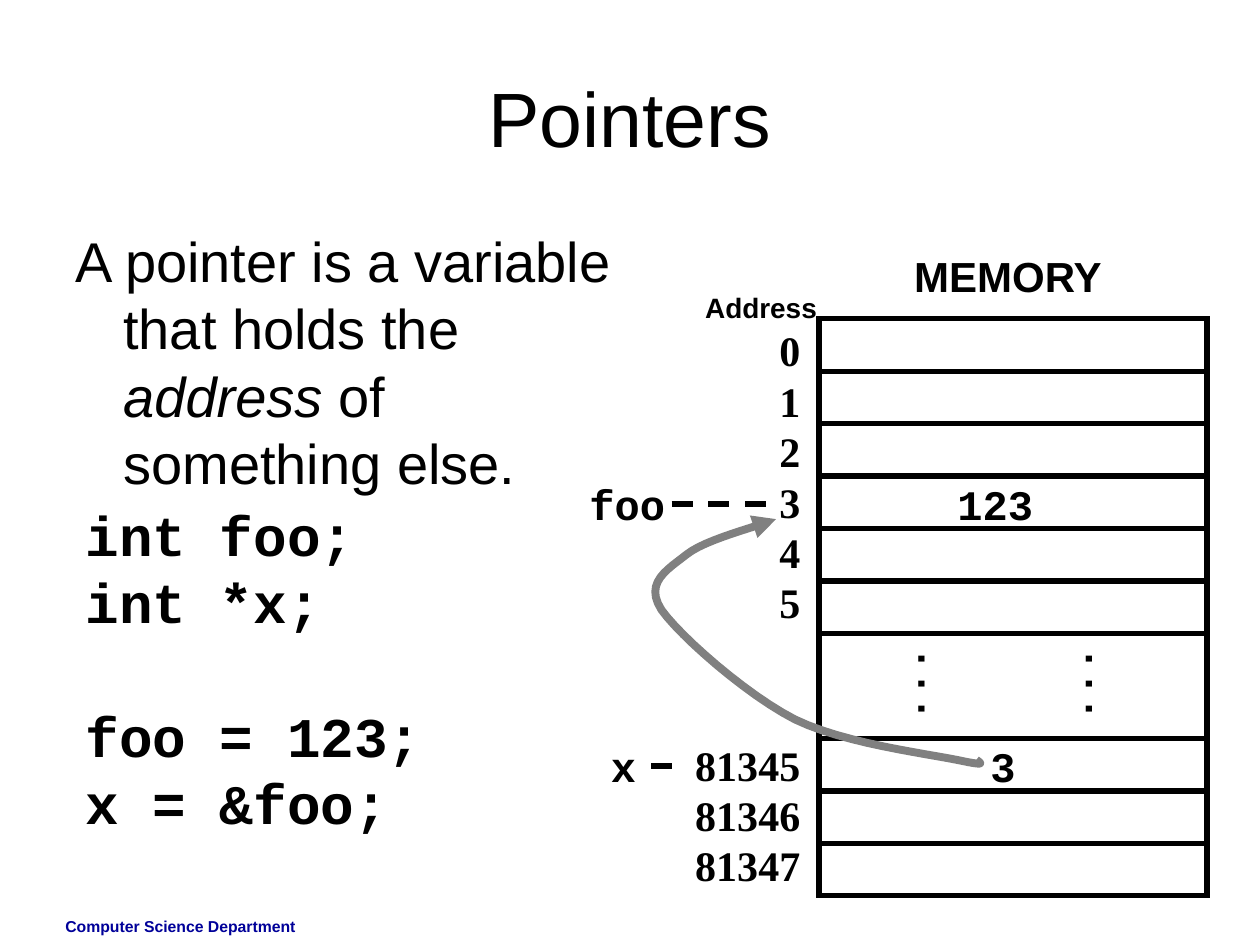
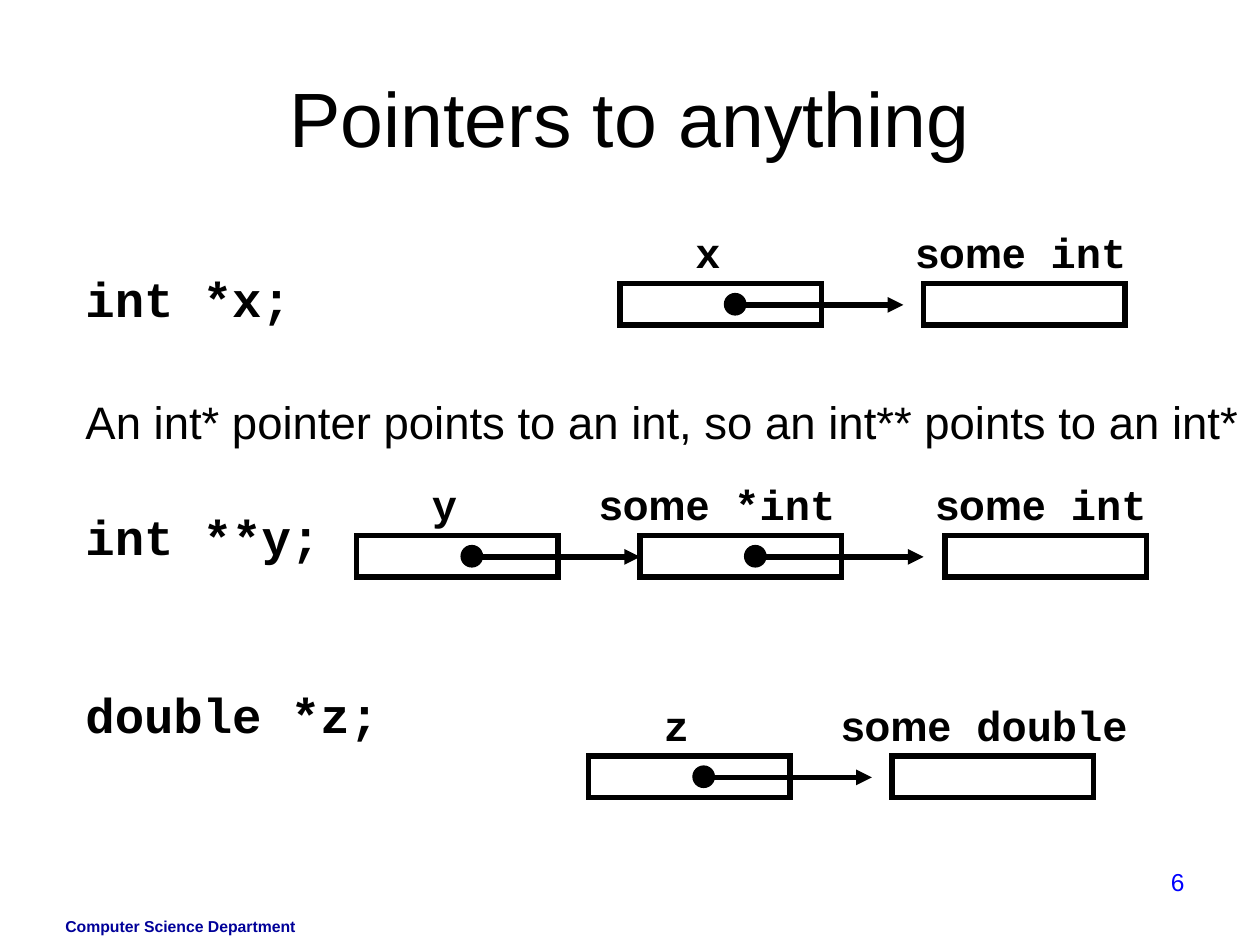
from lxml import etree
from pptx import Presentation
from pptx import util as u
from pptx.dml.color import RGBColor
from pptx.enum import dml, shapes, text
from pptx.oxml.ns import qn

BLACK = RGBColor(0, 0, 0)
WHITE = RGBColor(255, 255, 255)
GRAY = RGBColor(128, 128, 128)
NAVY = RGBColor(0, 0, 0x99)
BLUE = RGBColor(0, 0, 255)
SANS, MONO, SERIF = "Arial", "Courier New", "Times New Roman"
LEADING = 1.2
ALIGN = text.PP_ALIGN


def inches(*lengths):
    return [u.Inches(length) for length in lengths]


def write(frame, paragraphs, size=24, font=SANS, bold=False, color=BLACK,
          align=ALIGN.LEFT, anchor=text.MSO_ANCHOR.TOP, wrap=True,
          hanging=0, before=None):
    """Fill a frame; a paragraph is a string or a list of (words, font changes)."""
    frame.word_wrap = wrap
    frame.vertical_anchor = anchor
    for index, runs in enumerate(paragraphs):
        para = frame.paragraphs[0] if index == 0 else frame.add_paragraph()
        para.alignment = align
        para.line_spacing = u.Pt(size * LEADING)
        if before and index in before:
            para.space_before = u.Pt(before[index])
        if hanging:
            props = para._p.get_or_add_pPr()
            props.set("marL", str(u.Inches(hanging)))
            props.set("indent", str(-u.Inches(hanging)))
        for words, changes in [(runs, {})] if isinstance(runs, str) else runs:
            run = para.add_run()
            run.text = words
            run.font.size = u.Pt(size)
            run.font.name = changes.get("font", font)
            run.font.bold = bold
            run.font.italic = changes.get("italic", False)
            run.font.color.rgb = color


def add_text(slide, box, *paragraphs, rotation=0, **formatting):
    label = slide.shapes.add_textbox(*inches(*box))
    label.rotation = rotation
    write(label.text_frame, paragraphs, **formatting)


def add_preset(slide, preset, box, fill=None, width=3):
    outline = slide.shapes.add_shape(preset, *inches(*box))
    outline.shadow.inherit = False
    if fill is None:
        outline.fill.background()
    else:
        outline.fill.solid()
        outline.fill.fore_color.rgb = fill
    outline.line.color.rgb = BLACK
    outline.line.width = u.Pt(width)
    etree.SubElement(outline.line._get_or_add_ln(), qn("a:miter"), lim="800000")


def add_arrowhead(line):
    etree.SubElement(line.line._get_or_add_ln(), qn("a:tailEnd"), type="triangle")


def add_line(slide, start, end, dashed=False, arrow=False):
    line = slide.shapes.add_connector(
        shapes.MSO_CONNECTOR.STRAIGHT, *inches(*start, *end))
    line.line.color.rgb = BLACK
    line.line.width = u.Pt(3)
    if dashed:
        line.line.dash_style = dml.MSO_LINE.DASH
    if arrow:
        add_arrowhead(line)
    etree.SubElement(line._element.spPr, qn("a:effectLst"))


def add_curve(slide, start, segments, steps=12):
    """Draw joined cubic curves, each given by two controls and an end point."""
    points = []
    origin = start
    for control1, control2, end in segments:
        for step in range(1, steps + 1):
            t = step / steps
            weights = ((1 - t) ** 3, 3 * t * (1 - t) ** 2, 3 * t * t * (1 - t), t ** 3)
            corners = (origin, control1, control2, end)
            points.append(inches(*(sum(w * c[axis] for w, c in zip(weights, corners))
                                   for axis in (0, 1))))
        origin = end
    builder = slide.shapes.build_freeform(*inches(*start))
    builder.add_line_segments(points, close=False)
    curve = builder.convert_to_shape()
    curve.shadow.inherit = False
    curve.fill.background()
    curve.line.color.rgb = GRAY
    curve.line.width = u.Pt(4.5)
    etree.SubElement(curve.line._get_or_add_ln(), qn("a:round"))
    add_arrowhead(curve)


def add_titled_slide(prs, heading):
    slide = prs.slides.add_slide(prs.slide_layouts[5])
    title = slide.shapes.title
    title.left, title.top, title.width, title.height = inches(0.5, 0.3, 9, 1.25)
    write(title.text_frame, [heading], size=44, align=ALIGN.CENTER,
          anchor=text.MSO_ANCHOR.MIDDLE)
    add_text(slide, (0.42, 7.23, 2.33, 0.27), "Computer Science Department",
             size=9, bold=True, color=NAVY)
    return slide


def add_memory(slide, left, top, width, height):
    """Draw the memory column with its headings and the addresses beside it."""
    row = height / 11
    rect = shapes.MSO_SHAPE.RECTANGLE
    add_preset(slide, rect, (left, top, width, height), WHITE)
    for index in (0, 1, 2, 3, 4, 5, 8, 9, 10):
        add_preset(slide, rect, (left, top + index * row, width, row), WHITE)
    for offset in (0.52, 1.85):
        add_text(slide, (left + offset, top + 2.65, 0.8, 0.5), "...",
                 font=MONO, bold=True, wrap=False, rotation=90)
    heading = dict(bold=True, align=ALIGN.CENTER, anchor=text.MSO_ANCHOR.MIDDLE)
    add_text(slide, (left, top - 0.59, 3, 0.5), "MEMORY", **heading)
    add_text(slide, (left - 1.42, top - 0.34, 1.92, 0.5), "Address", size=16, **heading)
    add_text(slide, (left - 1.08, top, 1.03, height),
             "0", "1", "2", "3", "4", "5", "81345", "81346", "81347",
             font=SERIF, bold=True, align=ALIGN.RIGHT, wrap=False, before={6: 63.8})


def add_pointer_chain(slide, top, cells):
    """Draw cells given as (left, label, label offset), each pointing to the next."""
    for index, (left, label, offset) in enumerate(cells):
        some, space, kind = label.partition(" ")
        runs = [(some, {"font": SANS}), (space + kind, {})] if kind else label
        label_width = 1.27 + 0.2 * len(kind) if kind else 0.4
        add_text(slide, (left + offset, top - 0.5, label_width, 0.5), runs,
                 font=MONO, bold=True, wrap=False)
        add_preset(slide, shapes.MSO_SHAPE.RECTANGLE, (left, top, 1.6, 0.33))
        if index < len(cells) - 1:
            add_line(slide, (left + 0.92, top + 0.17), (left + 2.25, top + 0.17),
                     arrow=True)
            add_preset(slide, shapes.MSO_SHAPE.OVAL,
                       (left + 0.83, top + 0.08, 0.17, 0.17), BLACK, 0.75)


def build_pointers(prs):
    slide = add_titled_slide(prs, "Pointers")
    add_text(slide, (0.5, 1.75, 4.67, 2.3),
             [("A pointer is a variable that holds the ", {}),
              ("address", {"italic": True}), (" of something else.", {})],
             size=32, hanging=0.38)
    add_memory(slide, 6.5, 2.53, 3.08, 4.58)
    code = dict(font=MONO, bold=True)
    add_text(slide, (0.58, 3.92, 3.67, 2.77),
             "int foo;", "int *x;", "foo = 123;", "x = &foo;",
             size=32, before={2: 32 * LEADING}, **code)
    for left, top, name in ((4.58, 3.75, "foo"), (4.75, 5.83, "x"), (7.5, 3.75, "123")):
        add_text(slide, (left, top, 1.08, 0.5), name, **code)
    add_text(slide, (7.42, 5.83, 1.08, 0.5), "3", align=ALIGN.CENTER, **code)
    add_line(slide, (5.33, 4), (6.17, 4), dashed=True)
    add_line(slide, (5.17, 6.08), (5.42, 6.08), dashed=True)
    add_curve(slide, (7.75, 6.03), [
        ((7.79, 6.06), (7.83, 6.08), (7.59, 6.03)),
        ((7.35, 5.98), (6.7, 5.9), (6.31, 5.71)),
        ((5.92, 5.51), (5.4, 5.05), (5.25, 4.84)),
        ((5.11, 4.62), (5.3, 4.52), (5.45, 4.4)),
        ((5.6, 4.28), (6.01, 4.18), (6.16, 4.12)),
    ])


def build_pointers_to_anything(prs):
    slide = add_titled_slide(prs, "Pointers to anything")
    add_text(slide, (7.17, 6.83, 2.33, 0.52), "6", size=14, color=BLUE,
             align=ALIGN.RIGHT)
    add_text(slide, (0.58, 2.08, 2.92, 4.5), "int *x;", "int **y;", "double *z;",
             size=28, font=MONO, bold=True, wrap=False, before={1: 102.4, 2: 68.4})
    add_text(slide, (0.58, 3.08, 9.42, 0.5),
             "An int* pointer points to an int, so an int** points to an int*",
             size=26, wrap=False)
    add_pointer_chain(slide, 2.25, [(4.92, "x", 0.5), (7.33, "some int", -0.16)])
    add_pointer_chain(slide, 4.25, [(2.83, "y", 0.5), (5.08, "some *int", -0.42),
                                    (7.5, "some int", -0.17)])
    add_pointer_chain(slide, 6, [(4.67, "z", 0.5), (7.08, "some double", -0.5)])


def main():
    prs = Presentation()
    prs.slide_width, prs.slide_height = inches(10, 7.5)
    build_pointers(prs)
    build_pointers_to_anything(prs)
    prs.save("out.pptx")


if __name__ == "__main__":
    main()
